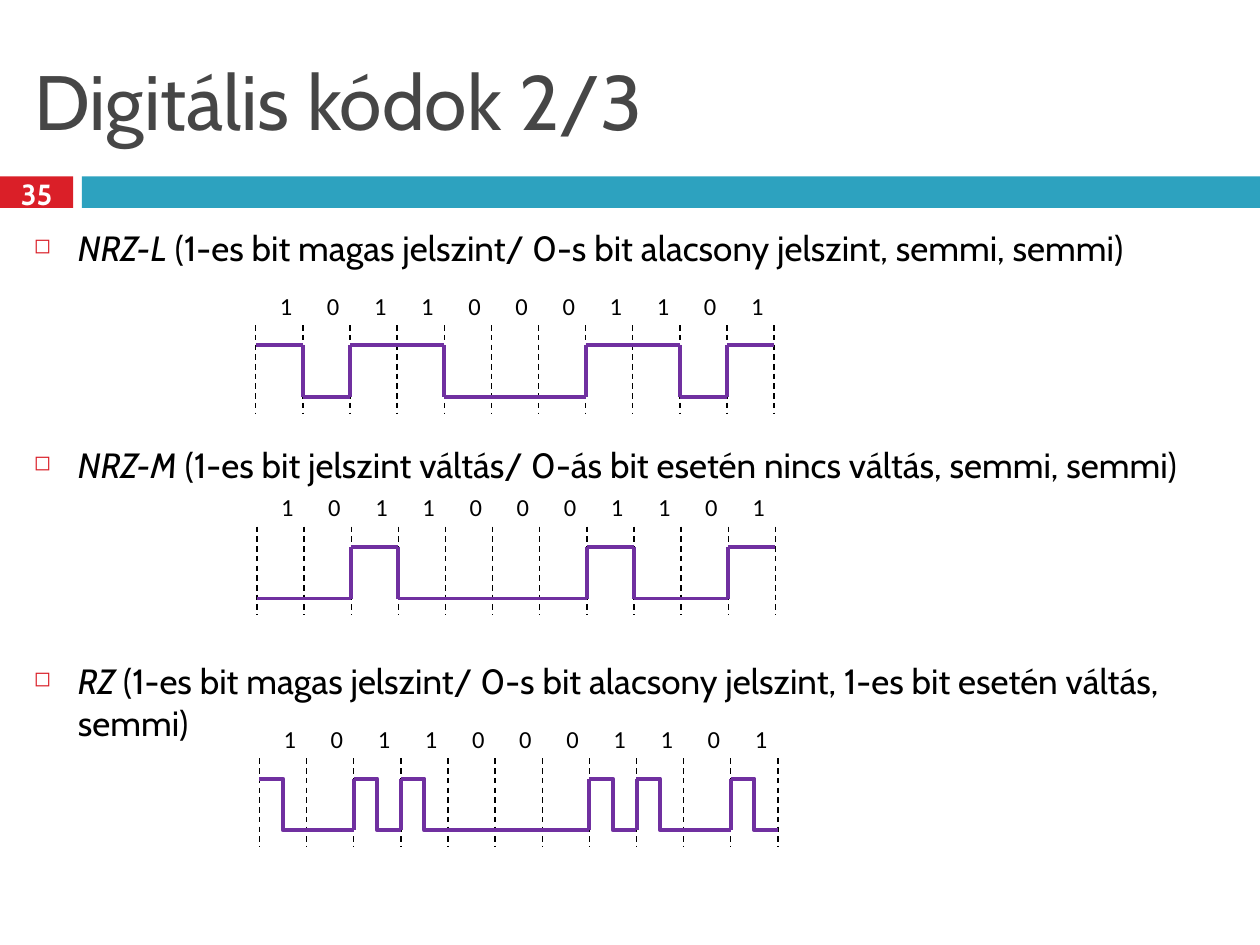
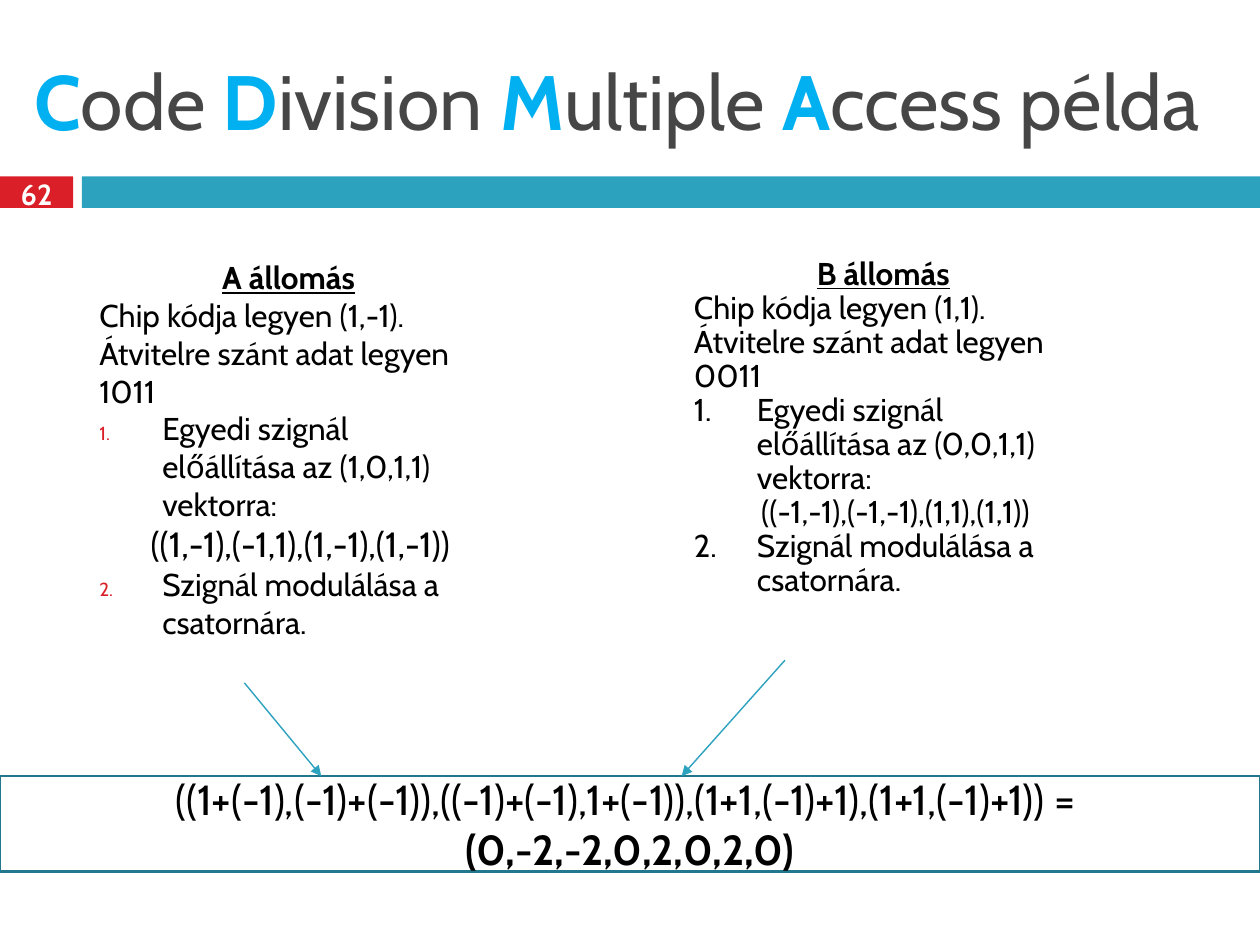
"""Build two lecture slides on digital line codes and a CDMA example."""
from dataclasses import dataclass
from itertools import accumulate

from lxml import etree
from pptx import Presentation
from pptx.dml.color import RGBColor as RGB
from pptx.enum.dml import MSO_LINE
from pptx.enum.shapes import MSO_CONNECTOR as LINK, MSO_SHAPE
from pptx.enum.text import MSO_ANCHOR, MSO_AUTO_SIZE, PP_ALIGN
from pptx.oxml.ns import qn
from pptx.util import Inches, Pt


@dataclass(frozen=True)
class Theme:
    font: str = "Cabin"
    digit_font: str = "Calibri"
    ink: RGB = RGB(0x00, 0x00, 0x00)
    white: RGB = RGB(0xFF, 0xFF, 0xFF)
    title: RGB = RGB(0x46, 0x46, 0x46)
    initial: RGB = RGB(0x00, 0xB0, 0xF0)
    red: RGB = RGB(0xDA, 0x1F, 0x28)
    teal: RGB = RGB(0x2D, 0xA2, 0xBF)
    frame: RGB = RGB(0x21, 0x78, 0x8D)
    signal: RGB = RGB(0x70, 0x30, 0xA0)
    title_size: float = 44
    formula_size: float = 24
    body_size: float = 20
    station_size: float = 18
    number_size: float = 16.6
    digit_size: float = 14


theme = Theme()


def write(paragraph, pieces, size, color=theme.ink, font=theme.font):
    """Add (text, style) pieces; style letters are b, i and u."""
    for text, style in pieces:
        run = paragraph.add_run()
        run.text = text
        run.font.name, run.font.size, run.font.color.rgb = font, Pt(size), color
        run.font.bold = "b" in style
        run.font.italic = "i" in style
        run.font.underline = "u" in style


def draw_line(slide, start, end, color, width, kind=LINK.STRAIGHT, dashed=False, arrow=False):
    """Connect two points given in inches."""
    link = slide.shapes.add_connector(kind, *map(Inches, start + end))
    link.line.color.rgb = color
    link.line.width = Pt(width)
    if dashed:
        link.line.dash_style = MSO_LINE.DASH
    outline = link._element.spPr.find(qn("a:ln"))
    if arrow:
        etree.SubElement(outline, qn("a:tailEnd"), type="triangle")
    etree.SubElement(link._element.spPr, qn("a:effectLst"))


deck = Presentation()
deck.slide_width, deck.slide_height = Inches(10), Inches(7.5)

headings = [
    ("35", [("Digitális kódok 2/3", "")]),
    ("62", [("C", "b"), ("ode ", ""), ("D", "b"), ("ivision ", ""),
            ("M", "b"), ("ultiple ", ""), ("A", "b"), ("ccess példa", "")]),
]
for number, heading in headings:
    slide = deck.slides.add_slide(deck.slide_layouts[5])
    for left, width, color in [(0, 0.58, theme.red), (0.65, 9.35, theme.teal)]:
        band = slide.shapes.add_shape(
            MSO_SHAPE.RECTANGLE, Inches(left), Inches(1.4), Inches(width), Inches(0.25))
        band.shadow.inherit = False
        band.fill.solid()
        band.fill.fore_color.rgb = color
        band.line.fill.background()

    title = slide.shapes.title
    title.left, title.top, title.width, title.height = map(Inches, (0.17, 0.25, 9.67, 1.08))
    title.text_frame.auto_size = MSO_AUTO_SIZE.NONE
    title.text_frame.vertical_anchor = MSO_ANCHOR.MIDDLE
    title_line = title.text_frame.paragraphs[0]
    title_line.alignment = PP_ALIGN.LEFT
    write(title_line, heading, theme.title_size, theme.title)
    for run in title_line.runs:
        if run.font.bold:
            run.font.color.rgb = theme.initial

    page = slide.shapes.add_textbox(Inches(0), Inches(1.37), Inches(0.58), Inches(0.33)).text_frame
    page.auto_size = MSO_AUTO_SIZE.NONE
    page.word_wrap = True
    page.vertical_anchor = MSO_ANCHOR.MIDDLE
    page.paragraphs[0].alignment = PP_ALIGN.CENTER
    write(page.paragraphs[0], [(number, "b")], theme.number_size, theme.white)

codes_slide, cdma_slide = deck.slides

definitions = [
    ("NRZ-L", " (1-es bit magas jelszint/ 0-s bit alacsony jelszint, semmi, semmi)"),
    ("NRZ-M", " (1-es bit jelszint váltás/ 0-ás bit esetén nincs váltás, semmi, semmi)"),
    ("RZ", " (1-es bit magas jelszint/ 0-s bit alacsony jelszint, 1-es bit esetén váltás, semmi)"),
]
body = codes_slide.shapes.add_textbox(
    Inches(0.17), Inches(1.75), Inches(9.67), Inches(5.58)).text_frame
body.auto_size = MSO_AUTO_SIZE.NONE
body.word_wrap = True
for index, (code, meaning) in enumerate(definitions):
    paragraph = body.add_paragraph() if index else body.paragraphs[0]
    paragraph.space_before = Pt(99.7 if index else 0)
    write(paragraph, [(code, "i"), (meaning, "")], theme.body_size)
    props = paragraph._p.get_or_add_pPr()
    props.set("marL", str(Inches(0.35)))
    props.set("indent", str(Inches(-0.35)))
    bullet_color = etree.SubElement(props, qn("a:buClr"))
    etree.SubElement(bullet_color, qn("a:srgbClr"), val=str(theme.red))
    etree.SubElement(props, qn("a:buSzPct"), val="60000")
    etree.SubElement(props, qn("a:buChar"), char="◻")

bits = [1, 0, 1, 1, 0, 0, 0, 1, 1, 0, 1]
toggled = list(accumulate(bits, lambda level, bit: level ^ bit, initial=1))[1:]
bit_width = 0.374
waves = [(2.03, 2.58, bits, False), (2.04, 4.18, toggled, False), (2.06, 6.02, bits, True)]
for left, top, levels, returns_to_zero in waves:
    for index in range(len(bits) + 1):
        x = left + index * bit_width
        draw_line(codes_slide, (x, top), (x, top + 0.7), theme.ink, 0.79, dashed=True)

    digits = codes_slide.shapes.add_textbox(
        Inches(left), Inches(top - 0.32), Inches(4.48), Inches(0.34)).text_frame
    digits.auto_size = MSO_AUTO_SIZE.NONE
    digits.word_wrap = True
    digits.margin_left = digits.margin_right = 0
    row = digits.paragraphs[0]
    write(row, [("".join(f"\t{bit}" for bit in bits), "")],
          theme.digit_size, font=theme.digit_font)
    stops = etree.SubElement(row._p.get_or_add_pPr(), qn("a:tabLst"))
    for index in range(len(bits)):
        etree.SubElement(stops, qn("a:tab"),
                         pos=str(Inches(0.24 + index * bit_width)), algn="ctr")

    heights = {1: top + 0.16, 0: top + 0.57}
    previous = levels[0]
    for index, level in enumerate(levels):
        x, y = left + index * bit_width, heights[level]
        if level != previous:
            draw_line(codes_slide, (x, heights[previous]), (x, y), theme.signal, 2.25)
        pulse = returns_to_zero and level
        previous = 0 if pulse else level
        draw_line(codes_slide, (x, y), (x + bit_width, heights[previous]), theme.signal, 2.25,
                  kind=LINK.ELBOW if pulse else LINK.STRAIGHT)

stations = [
    (0.69, "A", "(1,-1)", "1011", "(1,0,1,1)", "((1,-1),(-1,1),(1,-1),(1,-1)) ",
     theme.body_size, 1.0, True),
    (5.41, "B", "(1,1)", "0011", "(0,0,1,1)", "((-1,-1),(-1,-1),(1,1),(1,1)) ",
     theme.station_size, 0.9, False),
]
for left, name, chip, data, vector, signal, signal_size, spacing, red_numbers in stations:
    station = cdma_slide.shapes.add_textbox(
        Inches(left), Inches(2), Inches(3.2), Inches(2.23)).text_frame
    station.auto_size = MSO_AUTO_SIZE.NONE
    station.word_wrap = True
    steps = [
        (f"{name} állomás", "heading"),
        (f"Chip kódja legyen {chip}.", "plain"),
        (f"Átvitelre szánt adat legyen {data}", "plain"),
        (f"Egyedi szignál előállítása az {vector} vektorra:", "numbered"),
        (signal, "signal"),
        ("Szignál modulálása a csatornára.", "numbered"),
    ]
    for index, (text, role) in enumerate(steps):
        paragraph = station.add_paragraph() if index else station.paragraphs[0]
        paragraph.line_spacing = spacing
        write(paragraph, [(text, "bu" if role == "heading" else "")],
              signal_size if role == "signal" else theme.station_size)
        if role in ("heading", "signal"):
            paragraph.alignment = PP_ALIGN.CENTER
        props = paragraph._p.get_or_add_pPr()
        if role == "signal":
            paragraph.level = 1
            props.set("marL", str(Inches(0.25)))
            props.set("indent", "0")
        if role == "numbered":
            props.set("marL", str(Inches(0.5)))
            props.set("indent", str(Inches(-0.5)))
            if red_numbers:
                number_color = etree.SubElement(props, qn("a:buClr"))
                etree.SubElement(number_color, qn("a:srgbClr"), val=str(theme.red))
                etree.SubElement(props, qn("a:buSzPct"), val="60000")
            etree.SubElement(props, qn("a:buAutoNum"), type="arabicPeriod")

channel = cdma_slide.shapes.add_shape(
    MSO_SHAPE.RECTANGLE, Inches(0), Inches(6.16), Inches(10), Inches(0.76))
channel.shadow.inherit = False
channel.fill.background()
channel.line.color.rgb = theme.frame
channel.line.width = Pt(1.5)
channel.text_frame.vertical_anchor = MSO_ANCHOR.MIDDLE
total = channel.text_frame.paragraphs[0]
total.alignment = PP_ALIGN.CENTER
write(total, [("((1+(-1),(-1)+(-1)),((-1)+(-1),1+(-1)),(1+1,(-1)+1),(1+1,(-1)+1)) = ", "")],
      theme.formula_size)
total.add_line_break()
write(total, [("(0,-2,-2,0,2,0,2,0)", "b")], theme.formula_size)

for start, end in [((1.94, 5.42), (2.55, 6.16)), ((6.23, 5.24), (5.41, 6.16))]:
    draw_line(cdma_slide, start, end, theme.teal, 0.79, arrow=True)

deck.save("out.pptx")
